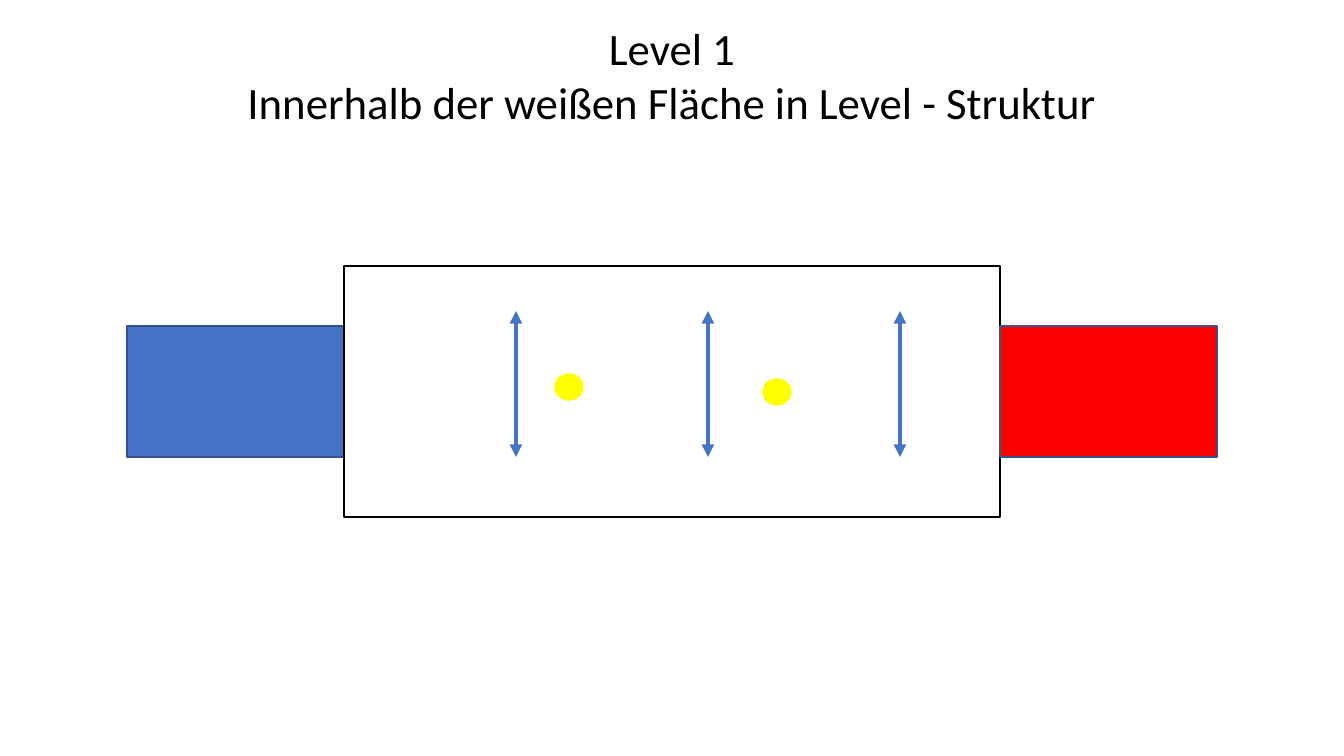
import dataclasses

import lxml.etree
import pptx
import pptx.dml.color
import pptx.enum.shapes
import pptx.enum.text
import pptx.oxml.ns
import pptx.util

SLIDE_WIDTH, SLIDE_HEIGHT = 1344, 756
EMU_PER_PX = 12192000 / SLIDE_WIDTH
SHAPES = pptx.enum.shapes.MSO_SHAPE


@dataclasses.dataclass(frozen=True)
class Theme:
    font: str = "Calibri"
    title_size: int = 32
    text: str = "000000"
    start: str = "4472C4"
    goal: str = "FF0000"
    zone_line: str = "325491"
    field: str = "FFFFFF"
    field_line: str = "000000"
    arrow: str = "4472C4"
    coin: str = "FFFF00"
    outline_width: int = 1
    arrow_width: int = 3


THEME = Theme()


def px(length):
    return pptx.util.Emu(round(length * EMU_PER_PX))


def rgb(color):
    return pptx.dml.color.RGBColor.from_string(color)


def add_text(slide, text, *, box, size, color, align):
    frame = slide.shapes.add_textbox(*map(px, box)).text_frame
    frame.word_wrap = True
    frame.auto_size = pptx.enum.text.MSO_AUTO_SIZE.SHAPE_TO_FIT_TEXT
    frame.text = text
    for paragraph in frame.paragraphs:
        paragraph.alignment = align
        paragraph.font.name = THEME.font
        paragraph.font.size = pptx.util.Pt(size)
        paragraph.font.color.rgb = rgb(color)


def add_block(slide, kind, *, box, fill, line):
    block = slide.shapes.add_shape(kind, *map(px, box))
    block.shadow.inherit = False
    block.fill.solid()
    block.fill.fore_color.rgb = rgb(fill)
    block.line.color.rgb = rgb(line)
    block.line.width = pptx.util.Pt(THEME.outline_width)


def add_double_arrow(slide, x, top, bottom):
    arrow = slide.shapes.add_connector(
        pptx.enum.shapes.MSO_CONNECTOR.STRAIGHT, px(x), px(top), px(x), px(bottom)
    )
    arrow.line.color.rgb = rgb(THEME.arrow)
    arrow.line.width = pptx.util.Pt(THEME.arrow_width)
    qn = pptx.oxml.ns.qn
    outline = arrow.line._get_or_add_ln()
    for end in ("a:headEnd", "a:tailEnd"):
        lxml.etree.SubElement(outline, qn(end), type="triangle")
    lxml.etree.SubElement(arrow._element.spPr, qn("a:effectLst"))


def add_title(slide, box):
    add_text(
        slide,
        "Level 1\nInnerhalb der weißen Fläche in Level - Struktur",
        box=box,
        size=THEME.title_size,
        color=THEME.text,
        align=pptx.enum.text.PP_ALIGN.CENTER,
    )


def add_level(slide, box):
    left, top, width, height = box
    zone_width, zone_height = 217, 131
    zone_top = top + (height - zone_height) / 2
    field_left = left + zone_width
    goal_left = left + width - zone_width

    add_block(slide, SHAPES.RECTANGLE, box=(left, zone_top, zone_width, zone_height),
              fill=THEME.start, line=THEME.zone_line)
    add_block(slide, SHAPES.RECTANGLE, box=(field_left, top, goal_left - field_left, height),
              fill=THEME.field, line=THEME.field_line)
    add_block(slide, SHAPES.RECTANGLE, box=(goal_left, zone_top, zone_width, zone_height),
              fill=THEME.goal, line=THEME.zone_line)

    first_arrow, arrow_gap = field_left + 172, 192
    for index in range(3):
        add_double_arrow(slide, first_arrow + index * arrow_gap, top + 45, zone_top + zone_height)

    for coin_x, coin_y in ((211, 108), (419, 113)):
        add_block(slide, SHAPES.OVAL, box=(field_left + coin_x, top + coin_y, 28, 26),
                  fill=THEME.coin, line=THEME.coin)


def main():
    presentation = pptx.Presentation()
    presentation.slide_width = px(SLIDE_WIDTH)
    presentation.slide_height = px(SLIDE_HEIGHT)
    slide = presentation.slides.add_slide(presentation.slide_layouts[6])
    add_title(slide, (0, 16, SLIDE_WIDTH, 119))
    add_level(slide, (127, 266, 1090, 251))
    presentation.save("out.pptx")


if __name__ == "__main__":
    main()
